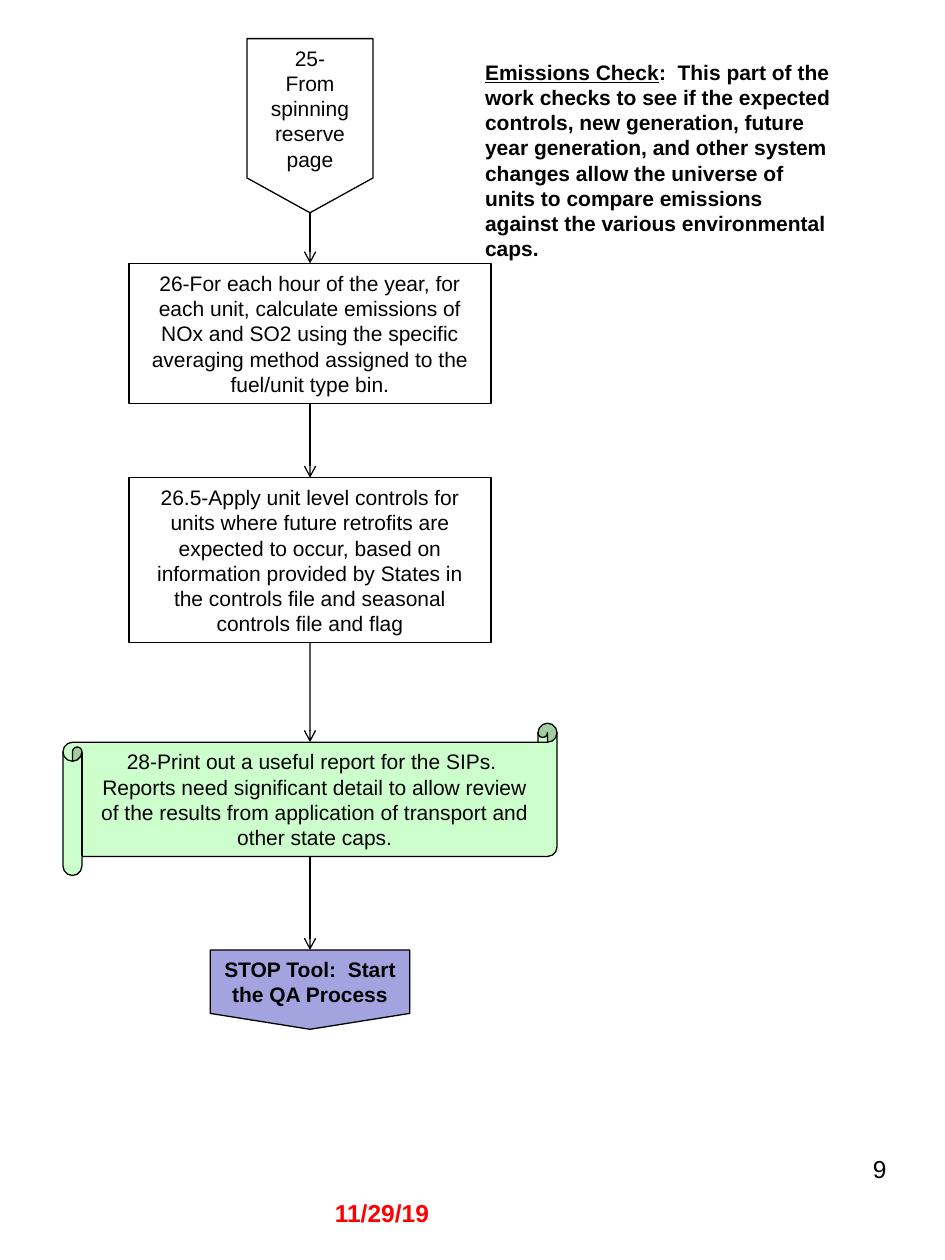
from dataclasses import dataclass

from lxml.etree import SubElement
from pptx import Presentation
from pptx.dml.color import RGBColor
from pptx.enum.shapes import MSO_CONNECTOR, MSO_SHAPE
from pptx.enum.text import MSO_ANCHOR, PP_ALIGN
from pptx.oxml.ns import qn
from pptx.util import Cm, Pt


@dataclass(frozen=True)
class Theme:
    font: str = "Arial"
    ink: str = "000000"
    alert: str = "FF0000"
    report: str = "CCFFCC"
    stop: str = "A3A3E0"
    body: float = 12
    footer: float = 14
    line: float = 0.75


def write_text(frame, paragraphs, theme, size=None, color=None, bold=False,
               align=PP_ALIGN.LEFT, anchor=MSO_ANCHOR.TOP):
    frame.word_wrap = True
    frame.vertical_anchor = anchor
    for index, pieces in enumerate(paragraphs):
        para = frame.add_paragraph() if index else frame.paragraphs[0]
        para.alignment = align
        for text, underline in pieces:
            span = para.add_run()
            span.text = text
            span.font.name = theme.font
            span.font.size = Pt(size or theme.body)
            span.font.bold = bold
            span.font.underline = underline
            span.font.color.rgb = RGBColor.from_string(color or theme.ink)


class FlowPage:
    def __init__(self, deck, theme):
        self.theme = theme
        self.page = deck.slides.add_slide(deck.slide_layouts[6])

    def label(self, left, top, width, height, pieces, **style):
        box = self.page.shapes.add_textbox(Cm(left), Cm(top), Cm(width), Cm(height))
        write_text(box.text_frame, [pieces], self.theme, **style)

    def step(self, kind, center, top, width, height, lines, fill=None, bold=False):
        box = self.page.shapes.add_shape(
            kind, Cm(center - width / 2), Cm(top), Cm(width), Cm(height))
        box.shadow.inherit = False
        if fill:
            box.fill.solid()
            box.fill.fore_color.rgb = RGBColor.from_string(fill)
        else:
            box.fill.background()
        self.outline(box)
        write_text(box.text_frame, [[(line, False)] for line in lines], self.theme,
                   bold=bold, align=PP_ALIGN.CENTER, anchor=MSO_ANCHOR.MIDDLE)
        return box

    def outline(self, element):
        element.line.color.rgb = RGBColor.from_string(self.theme.ink)
        element.line.width = Pt(self.theme.line)

    def arrow(self, upper, lower, upper_inset, lower_inset):
        arrow = self.page.shapes.add_connector(MSO_CONNECTOR.STRAIGHT, 0, 0, 0, 0)
        arrow.begin_connect(upper, 2)
        arrow.end_connect(lower, 0)
        arrow.begin_y = upper.top + upper.height - Cm(upper_inset)
        arrow.end_y = lower.top + Cm(lower_inset)
        self.outline(arrow)
        SubElement(arrow.line._get_or_add_ln(), qn("a:tailEnd"), type="arrow")
        SubElement(arrow._element.spPr, qn("a:effectLst"))


theme = Theme()
deck = Presentation()
deck.slide_width, deck.slide_height = Cm(19.05), Cm(25.4)
flow = FlowPage(deck, theme)

flow.label(13.67, 23.14, 4.45, 1.75, [("9", False)],
           size=theme.footer, align=PP_ALIGN.RIGHT)
flow.label(9.53, 1.07, 7.62, 4.37, [
    ("Emissions Check", True),
    (":  This part of the work checks to see if the expected controls, new "
     "generation, future year generation, and other system changes allow the "
     "universe of units to compare emissions against the various environmental "
     "caps.", False)], bold=True)
flow.label(6.5, 24.03, 6.05, 0.86, [("11/29/19", False)],
           size=theme.footer, color=theme.alert, bold=True)

center = 6.25
scroll_inset = 0.38
steps = [
    (MSO_SHAPE.FLOWCHART_OFFPAGE_CONNECTOR, 0.78, 2.54, 3.51,
     ["25-", "From spinning reserve page"], None, False, 0),
    (MSO_SHAPE.FLOWCHART_PROCESS, 5.31, 7.3, 2.83,
     ["26-For each hour of the year, for each unit, calculate emissions of",
      "NOx and SO2 using the specific averaging method assigned to the "
      "fuel/unit type bin."], None, False, 0),
    (MSO_SHAPE.RECTANGLE, 9.63, 7.3, 3.33,
     ["26.5-Apply unit level controls for units where future retrofits are "
      "expected to occur, based on information provided by States in the "
      "controls file and seasonal controls file and flag"], None, False, 0),
    (MSO_SHAPE.HORIZONTAL_SCROLL, 14.58, 9.96, 3.07,
     ["28-Print out a useful report for the SIPs.  Reports need significant "
      "detail to allow review of the results from application of transport and "
      "other state caps."], theme.report, False, scroll_inset),
    (MSO_SHAPE.FLOWCHART_OFFPAGE_CONNECTOR, 19.15, 4.02, 1.6,
     ["STOP Tool:  Start the QA Process"], theme.stop, True, 0),
]

previous = None
for kind, top, width, height, lines, fill, bold, inset in steps:
    box = flow.step(kind, center, top, width, height, lines, fill, bold)
    if previous:
        flow.arrow(previous[0], box, previous[1], inset)
    previous = box, inset

deck.save("out.pptx")
